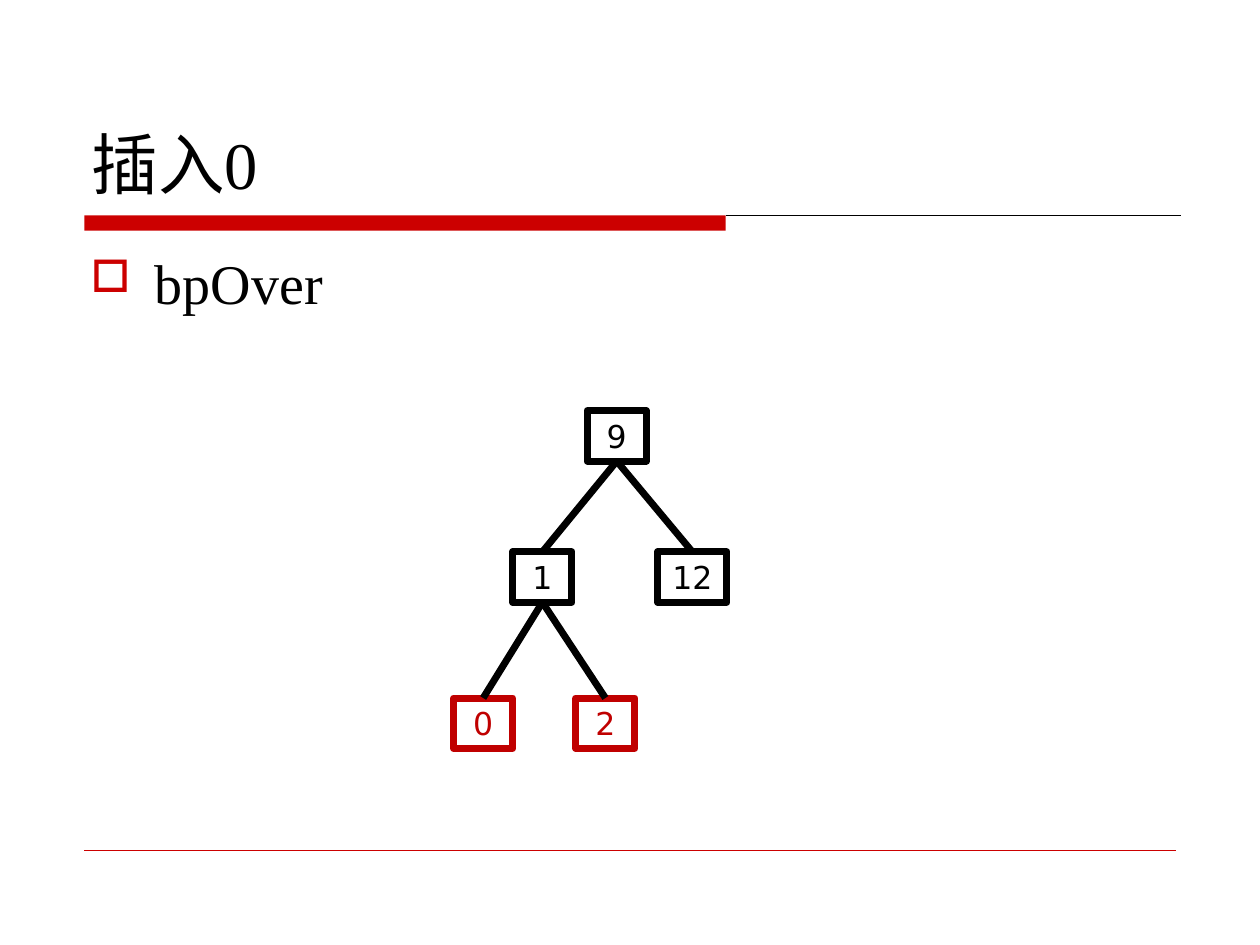
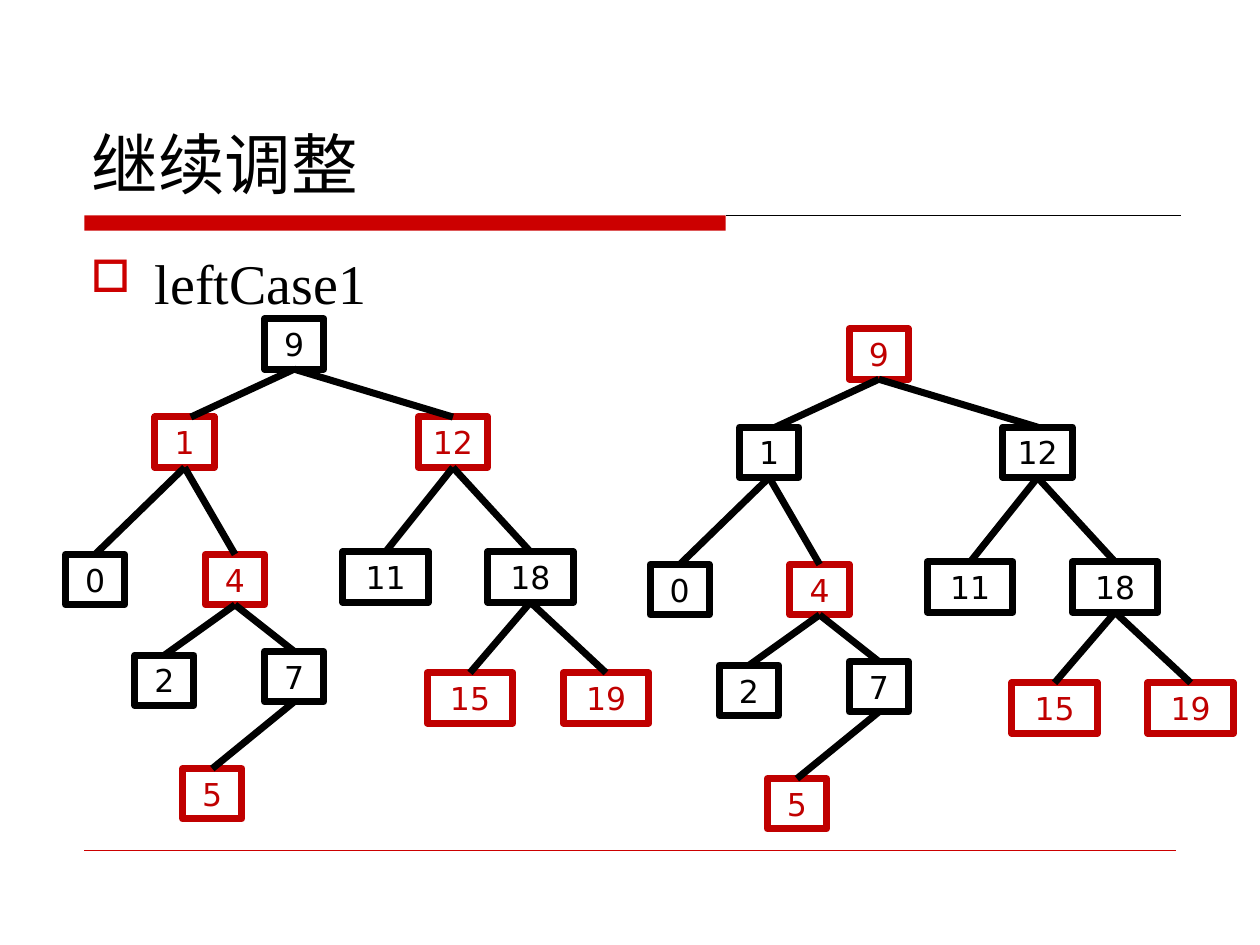
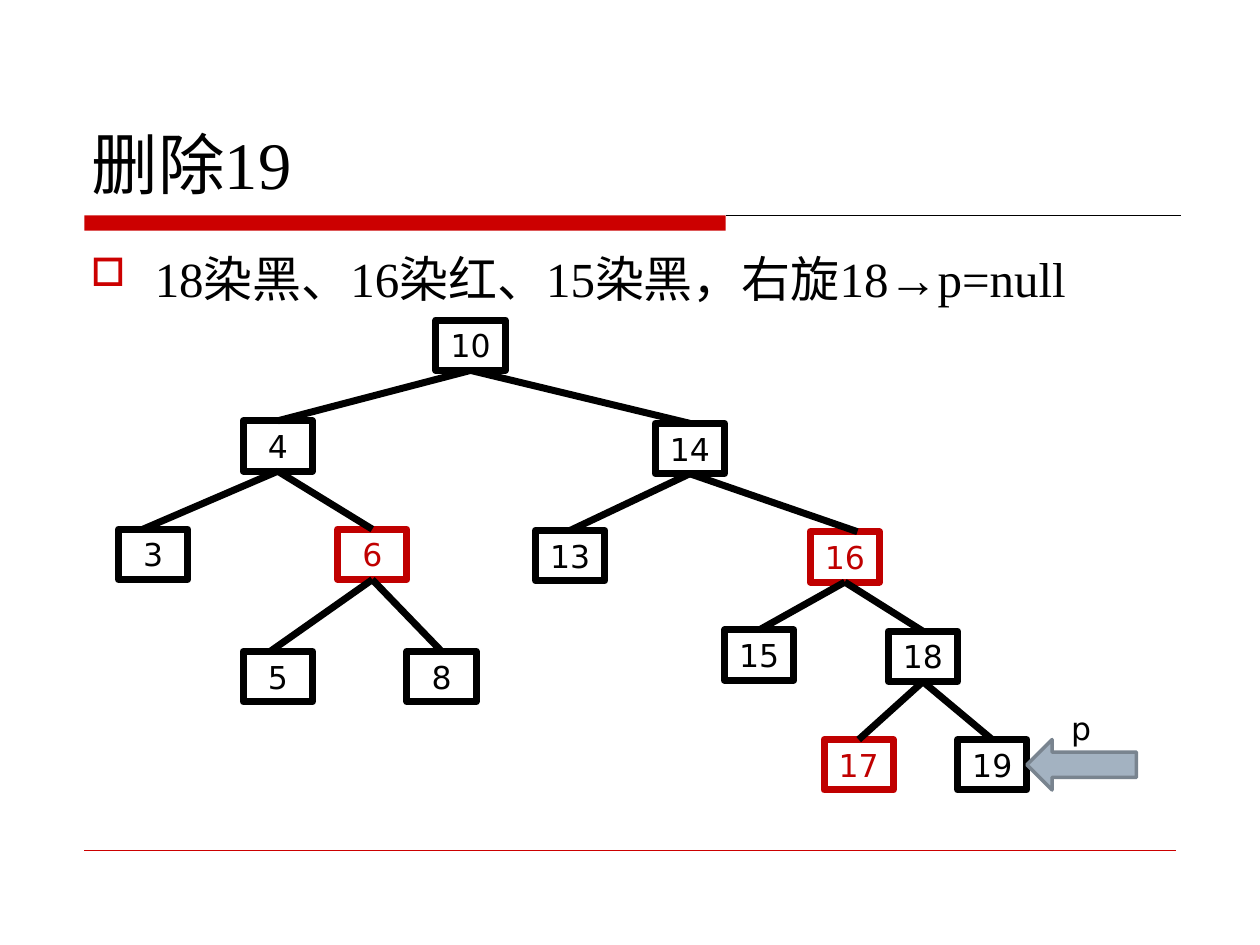
from lxml import etree
from pptx import Presentation
from pptx import util as u
from pptx.dml.color import RGBColor
from pptx.enum import shapes, text
from pptx.oxml.ns import qn

# Grid: 100 columns by 75 rows on a 10 x 7.5 inch slide
COLS, ROWS = 100, 75
BLACK, RED, NODE_RED = "000000", "CC0000", "C00000"
ARROW_FILL, ARROW_LINE = "A3B2C1", "79848F"
SERIF, SANS = "Times New Roman", "DejaVu Sans"
NODE_H, NARROW, MEDIUM, WIDE = 4, 4.7, 5.5, 6.8
BOTTOM, TOP = 2, 0
INDENT = 5.1


def rgb(value):
    return RGBColor.from_string(value)


def write(sp, content, size=18, font=SANS, color=BLACK,
          align=text.PP_ALIGN.CENTER, anchor=text.MSO_ANCHOR.MIDDLE,
          wrap=True, bullet=None):
    tf = sp.text_frame
    tf.word_wrap = wrap
    tf.vertical_anchor = anchor
    p = tf.paragraphs[0]
    p.alignment = align
    if bullet:
        add_bullet(p, bullet)
    r = p.add_run()
    r.text = content
    r.font.size = u.Pt(size)
    r.font.name = font
    r.font.color.rgb = rgb(color)


def add_bullet(p, mark):
    pPr = p._p.get_or_add_pPr()
    indent = u.Inches(INDENT / 10)
    pPr.set("marL", str(indent))
    pPr.set("indent", str(-indent))
    clr = etree.SubElement(pPr, qn("a:buClr"))
    etree.SubElement(clr, qn("a:srgbClr"), val=RED)
    etree.SubElement(pPr, qn("a:buSzPct"), val="80000")
    etree.SubElement(pPr, qn("a:buChar"), char=mark)


class Deck:
    def __init__(self):
        self.prs = Presentation()
        self.prs.slide_width = u.Inches(10)
        self.prs.slide_height = u.Inches(7.5)
        self.s = None

    def x(self, cols):
        return round(self.prs.slide_width * cols / COLS)

    def y(self, rows):
        return round(self.prs.slide_height * rows / ROWS)

    def box(self, left, top, width, height):
        return self.x(left), self.y(top), self.x(width), self.y(height)

    def slide(self, title, point, size=32):
        """Start a slide with its title, rules and one bullet point."""
        self.s = self.prs.slides.add_slide(self.prs.slide_layouts[6])
        self.shape(6.7, 17.1, 50.9, 1.2, fill=RED)
        self.line((57.6, 17.1), (93.7, 17.1), weight=0.75)
        self.line((6.7, 67.5), (93.3, 67.5), color=RED, weight=0.25)
        left = text.PP_ALIGN.LEFT
        self.label(title, 6.3, 3.3, 87.5, 13.3, size=38, font=SERIF,
                   align=left, anchor=text.MSO_ANCHOR.BOTTOM)
        self.label(point, 6.2, 19.2, 87.5, 46.7, size=size, font=SERIF,
                   align=left, anchor=text.MSO_ANCHOR.TOP, bullet="□")

    def label(self, content, left, top, width, height, **fmt):
        sp = self.s.shapes.add_textbox(*self.box(left, top, width, height))
        write(sp, content, **fmt)

    def shape(self, left, top, width, height, fill=None, line=None, weight=1,
              kind=shapes.MSO_SHAPE.RECTANGLE):
        sp = self.s.shapes.add_shape(kind, *self.box(left, top, width, height))
        sp.shadow.inherit = False
        if fill:
            sp.fill.solid()
            sp.fill.fore_color.rgb = rgb(fill)
        else:
            sp.fill.background()
        if line:
            sp.line.color.rgb = rgb(line)
            sp.line.width = u.Pt(weight)
        else:
            sp.line.fill.background()
        return sp

    def line(self, start, end, color=BLACK, weight=4):
        (x1, y1), (x2, y2) = start, end
        c = self.s.shapes.add_connector(
            shapes.MSO_CONNECTOR.STRAIGHT,
            self.x(x1), self.y(y1), self.x(x2), self.y(y2))
        c.line.color.rgb = rgb(color)
        c.line.width = u.Pt(weight)
        etree.SubElement(c._element.spPr, qn("a:effectLst"))
        return c

    def tree(self, nodes, edges, red=(), shift=(0, 0), slant=None):
        """Draw nodes {key: (left, top, width)} and edges {parent: children}.

        slant moves the upper end of an edge's child sideways, in columns.
        """
        dx, dy = shift
        slant = slant or {}
        placed, boxes = {}, {}
        for key, (left, top, width) in nodes.items():
            color = NODE_RED if key in red else BLACK
            sp = self.shape(left + dx, top + dy, width, NODE_H,
                            line=color, weight=4)
            write(sp, str(key), color=color, wrap=False)
            boxes[key] = sp
            placed[key] = (left + dx + width / 2, top + dy)
        for parent, children in edges.items():
            px, py = placed[parent]
            for child in children:
                cx, cy = placed[child]
                c = self.line((px, py + NODE_H), (cx + slant.get(child, 0), cy))
                c.begin_connect(boxes[parent], BOTTOM)
                if child not in slant:
                    c.end_connect(boxes[child], TOP)


def main():
    deck = Deck()

    # Insert 0
    deck.slide("插入0", "bpOver")
    deck.tree({9: (46.6, 32.6, NARROW), 1: (40.7, 43.8, NARROW),
               12: (52.2, 43.8, MEDIUM), 0: (36, 55.4, NARROW),
               2: (45.7, 55.4, NARROW)},
              {9: (1, 12), 1: (0, 2)}, red=(0, 2))

    # Before and after recolouring
    deck.slide("继续调整", "leftCase1")
    nodes = {9: (21, 25.3, NARROW), 1: (12.3, 33.1, NARROW),
             12: (33.2, 33.1, MEDIUM), 0: (5.2, 44, NARROW),
             4: (16.3, 44, NARROW), 11: (27.2, 43.8, WIDE),
             18: (38.7, 43.8, WIDE), 2: (10.7, 52, NARROW),
             7: (21, 51.7, NARROW), 15: (33.9, 53.4, WIDE),
             19: (44.7, 53.4, WIDE), 5: (14.5, 61, NARROW)}
    edges = {9: (1, 12), 1: (0, 4), 12: (11, 18), 4: (2, 7),
             18: (15, 19), 7: (5,)}
    for red, shift in (((1, 12, 4, 15, 19, 5), (0, 0)),
                       ((9, 4, 15, 19, 5), (46.4, 0.8))):
        deck.tree(nodes, edges, red, shift, slant={1: 0.5})

    # Delete 19
    deck.slide("删除19", "18染黑、16染红、15染黑，右旋18→p=null", size=28)
    spots = {10: (34.6, 25.4), 4: (19.3, 33.4), 14: (52, 33.6),
             3: (9.4, 42), 6: (26.8, 42), 13: (42.5, 42.1),
             16: (64.3, 42.2), 5: (19.3, 51.7), 8: (32.3, 51.7),
             15: (57.5, 50), 18: (70.5, 50.1), 17: (65.4, 58.7),
             19: (76, 58.7)}
    deck.tree({key: (*spot, MEDIUM) for key, spot in spots.items()},
              {10: (4, 14), 4: (3, 6), 14: (13, 16), 6: (5, 8),
               16: (15, 18), 18: (17, 19)},
              red=(6, 16, 17), slant={3: -0.8, 16: 1, 5: -0.6})

    # Pointer p to node 19
    deck.shape(81.5, 58.7, 8.7, 4, fill=ARROW_FILL, line=ARROW_LINE, weight=2,
               kind=shapes.MSO_SHAPE.LEFT_ARROW)
    deck.label("p", 82.8, 55.8, 6, 4)

    deck.prs.save("out.pptx")


if __name__ == "__main__":
    main()
